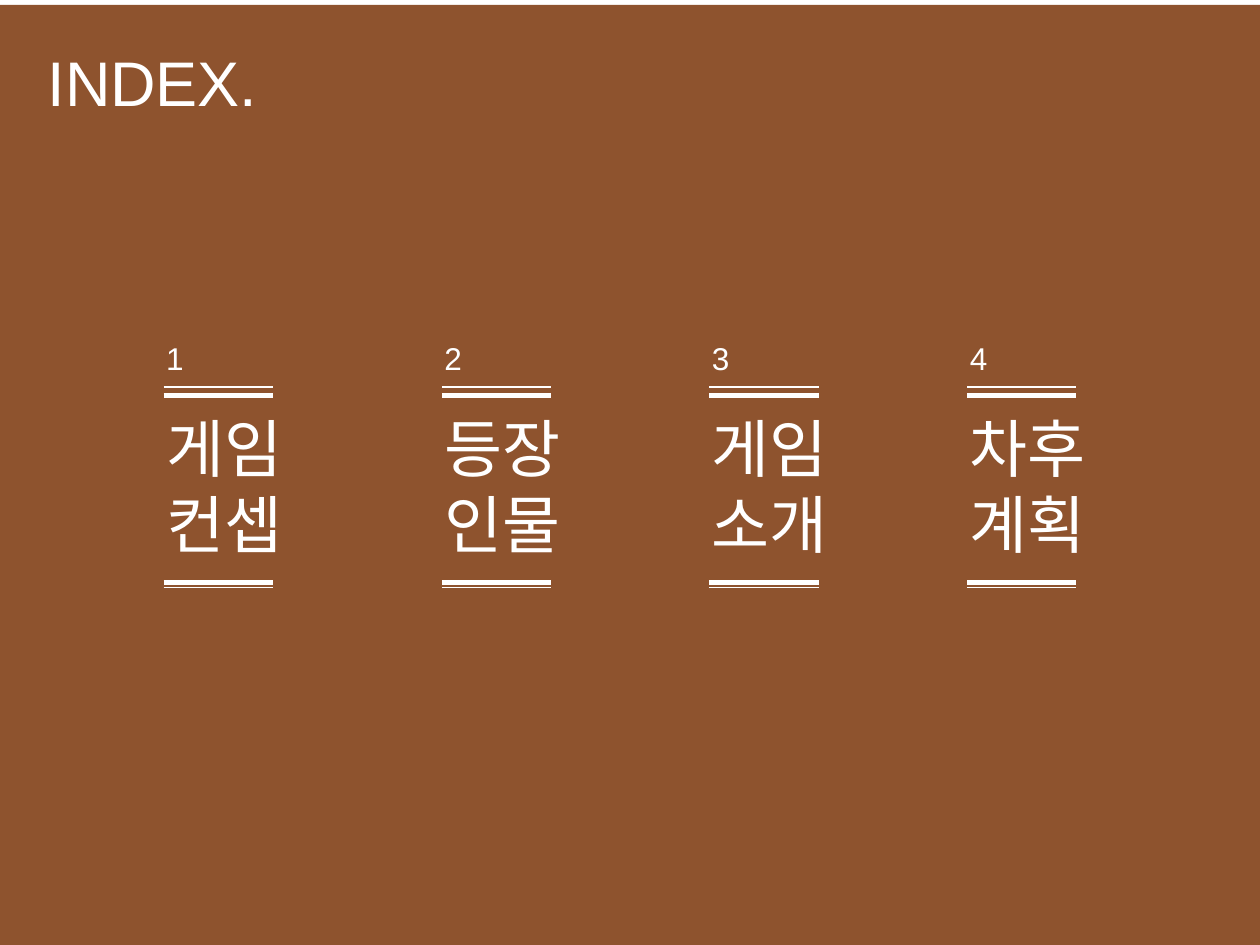
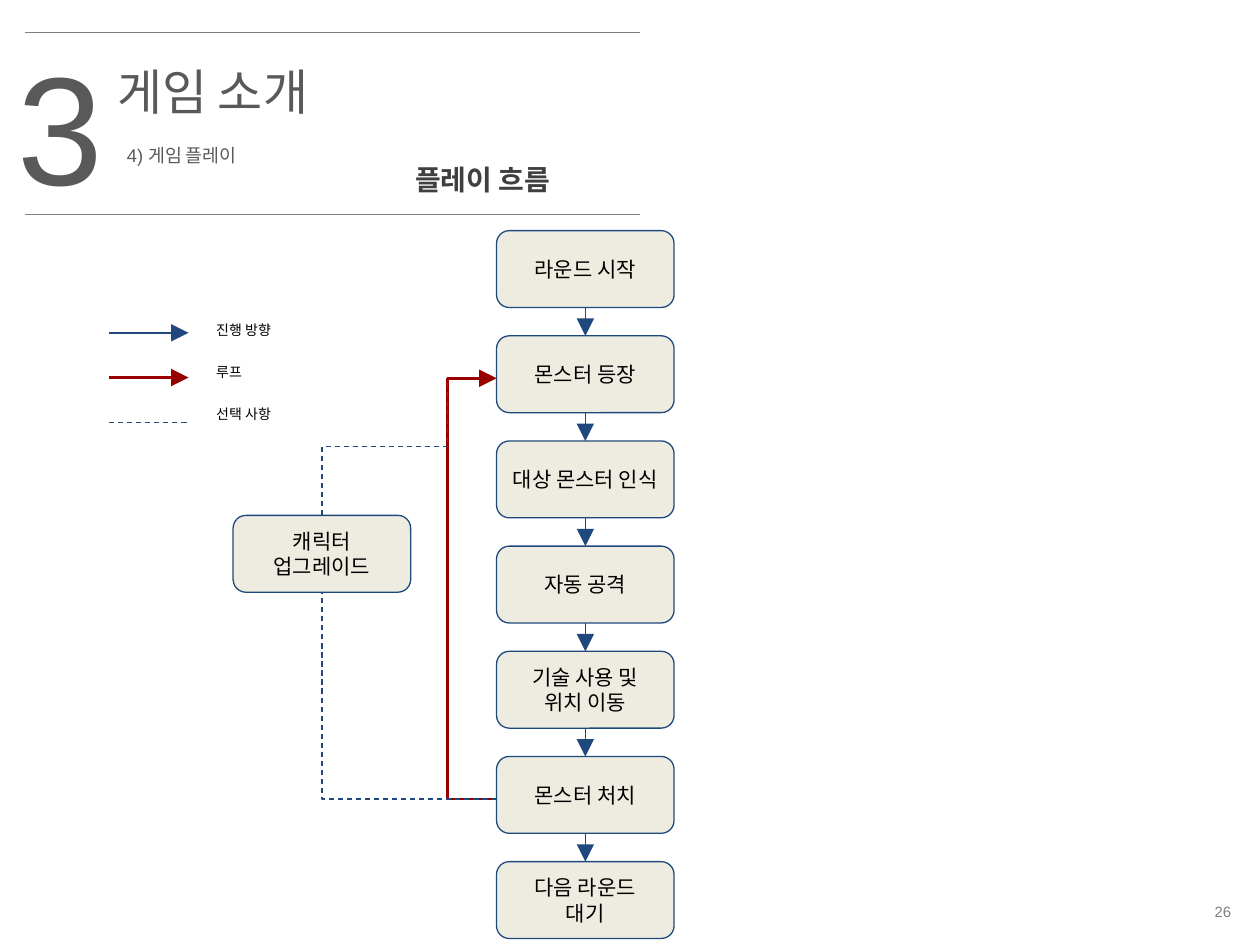
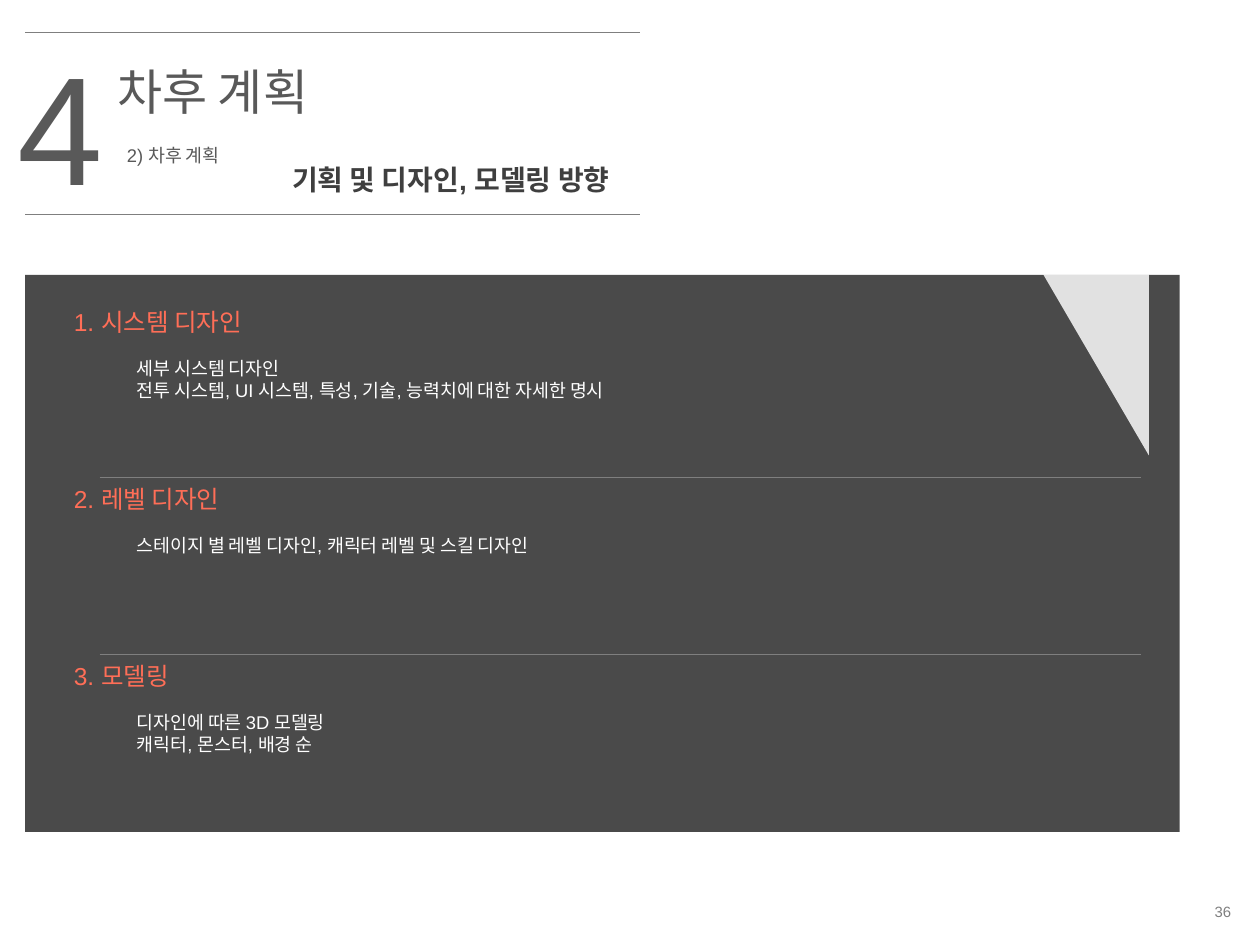
from lxml import etree
from pptx import Presentation
from pptx.dml.color import RGBColor
from pptx.enum import dml, shapes, text
from pptx.oxml.ns import qn
from pptx.util import Cm, Pt

FONT = "Arial"
BROWN = RGBColor(0x8E, 0x53, 0x2E)
WHITE = RGBColor(0xFF, 0xFF, 0xFF)
BLACK = RGBColor(0, 0, 0)
PANEL = RGBColor(0x0C, 0x0C, 0x0C)
DARK = RGBColor(0x3F, 0x3F, 0x3F)
GRAY = RGBColor(0x59, 0x59, 0x59)
RULE = RGBColor(0x7F, 0x7F, 0x7F)
BEIGE = RGBColor(0xEE, 0xEC, 0xE1)
NAVY = RGBColor(0x1F, 0x49, 0x7D)
RED = RGBColor(0x98, 0, 0)
CORAL = RGBColor(0xFF, 0x6E, 0x57)

LEFT, CENTER, RIGHT = text.PP_ALIGN.LEFT, text.PP_ALIGN.CENTER, text.PP_ALIGN.RIGHT
HANGING = 0.97

INDEX = [(3.1, "게임\n컨셉"), (8.71, "등장\n인물"), (14.1, "게임\n소개"), (19.3, "차후 계획")]
INDEX_RULES = [(7.8, 0.75), (7.97, 3), (11.74, 3), (11.84, 0.75)]

STEPS = ["라운드 시작", "몬스터 등장", "대상 몬스터 인식", "자동 공격",
         "기술 사용 및\n위치 이동", "몬스터 처치", "다음 라운드\v대기"]
UPGRADE = "캐릭터\n업그레이드"
LEGEND = [("진행 방향", NAVY, 0.75, False), ("루프", RED, 1.5, False), ("선택 사항", NAVY, 0.75, True)]

PLANS = [
    ("1. 시스템 디자인", ["세부 시스템 디자인",
                    "전투 시스템, UI 시스템, 특성, 기술, 능력치에 대한 자세한 명시"]),
    ("2. 레벨 디자인", ["스테이지 별 레벨 디자인, 캐릭터 레벨 및 스킬 디자인"]),
    ("3. 모델링", ["디자인에 따른 3D 모델링", "캐릭터, 몬스터, 배경 순"]),
]

STEP_LEFT, STEP_TOP, STEP_PITCH = 10.01, 4.65, 2.12
STEP_WIDTH, STEP_HEIGHT = 3.58, 1.55


def format_paragraph(paragraph, size, color, align=LEFT, bold=False, hanging=0.0):
    """Format all runs; hanging is the left margin in cm, with a hanging first line."""
    paragraph.alignment = align
    if hanging:
        properties = paragraph._p.get_or_add_pPr()
        properties.set("marL", str(Cm(hanging)))
        properties.set("indent", str(-Cm(HANGING)))
    for run in paragraph.runs:
        run.font.name, run.font.size, run.font.bold = FONT, Pt(size), bold
        run.font.color.rgb = color


def write_text(frame, content, size, color, anchor=text.MSO_ANCHOR.TOP, inset=0.13, **style):
    frame.word_wrap = True
    frame.vertical_anchor = anchor
    frame.margin_left = frame.margin_right = Cm(0.25)
    frame.margin_top = frame.margin_bottom = Cm(inset)
    frame.text = content
    for paragraph in frame.paragraphs:
        format_paragraph(paragraph, size, color, **style)


def add_text(slide, box, content, size, color, **style):
    frame = slide.shapes.add_textbox(*map(Cm, box)).text_frame
    write_text(frame, content, size, color, **style)
    return frame


def add_filled(slide, preset, box, color, opacity=100):
    shape = slide.shapes.add_shape(preset, *map(Cm, box))
    shape.shadow.inherit = False
    shape.fill.solid()
    shape.fill.fore_color.rgb = color
    shape.line.fill.background()
    if opacity < 100:
        fill_color = shape.element.spPr.find(qn("a:solidFill"))[0]
        etree.SubElement(fill_color, qn("a:alpha"), val=str(opacity * 1000))
    return shape


def style_connector(connector, color, width, dashed=False, arrow=False):
    connector.line.color.rgb = color
    connector.line.width = Pt(width)
    if dashed:
        connector.line.dash_style = dml.MSO_LINE.DASH
    properties = connector.element.spPr
    if arrow:
        etree.SubElement(properties.find(qn("a:ln")), qn("a:tailEnd"),
                         type="triangle", w="lg", len="lg")
    etree.SubElement(properties, qn("a:effectLst"))


def add_line(slide, start, end, color, width=0.75, **style):
    connector = slide.shapes.add_connector(
        shapes.MSO_CONNECTOR.STRAIGHT, *map(Cm, (*start, *end)))
    style_connector(connector, color, width, **style)


def add_elbow(slide, box, preset, rotation, color, width=0.75, flip=False, **style):
    """Add a bent connector that covers the given box after its rotation."""
    left, top, across, down = box
    if rotation == 270:
        left, top = left + (across - down) / 2, top + (down - across) / 2
        across, down = down, across
    connector = slide.shapes.add_connector(
        shapes.MSO_CONNECTOR.ELBOW, *map(Cm, (left, top, left + across, top + down)))
    properties = connector.element.spPr
    properties.find(qn("a:prstGeom")).set("prst", preset)
    frame = properties.find(qn("a:xfrm"))
    frame.set("rot", str(rotation * 60000))
    if flip:
        frame.set("flipH", "1")
    style_connector(connector, color, width, **style)


def add_flow_box(slide, left, top, content):
    shape = add_filled(slide, shapes.MSO_SHAPE.ROUNDED_RECTANGLE,
                       (left, top, STEP_WIDTH, STEP_HEIGHT), BEIGE)
    shape.line.color.rgb = NAVY
    shape.line.width = Pt(0.75)
    write_text(shape.text_frame, content, 12, BLACK, anchor=text.MSO_ANCHOR.MIDDLE,
               inset=0.25, align=CENTER)


def new_slide(presentation):
    return presentation.slides.add_slide(presentation.slide_layouts[6])


def chapter_slide(presentation, number, title, section, topic, topic_left, page):
    slide = new_slide(presentation)
    add_text(slide, (19.71, 18.03, 5.36, 0.69), page, 8.5, RULE,
             anchor=text.MSO_ANCHOR.MIDDLE, align=RIGHT)
    add_text(slide, (2.11, 1.12, 11.4, 1.45), title, 28, GRAY, hanging=HANGING)
    frame = add_text(slide, (2.31, 2.51, 11.61, 1.47), section, 10.5, GRAY, hanging=HANGING)
    frame.paragraphs[0].line_spacing = 1.62
    add_text(slide, (0.1, 0.51, 3, 4.01), number, 88, GRAY, hanging=HANGING)
    for y in (0.66, 4.32):
        add_line(slide, (0.51, y), (12.9, y), RULE)
    add_text(slide, (topic_left, 3.15, 9.6, 1.27), topic, 16, DARK,
             align=CENTER, bold=True, hanging=HANGING)
    return slide


def index_slide(presentation):
    slide = new_slide(presentation)
    add_filled(slide, shapes.MSO_SHAPE.RECTANGLE, (0, 0.1, 25.4, 19.05), BROWN)
    add_text(slide, (0.71, 0.74, 8.61, 1.8), "INDEX.", 36, WHITE)
    for number, (left, title) in enumerate(INDEX, 1):
        add_text(slide, (left, 6.71, 3.2, 1.02), str(number), 18, WHITE)
        add_text(slide, (left, 8.13, 3.2, 3.33), title, 36, WHITE)
        for y, width in INDEX_RULES:
            add_line(slide, (left + 0.2, y), (left + 2.4, y), WHITE, width)


def flow_slide(presentation):
    slide = chapter_slide(presentation, "3", "게임 소개", "4) 게임 플레이", "플레이 흐름", 4.93, "26")
    tops = [STEP_TOP + i * STEP_PITCH for i in range(len(STEPS))]
    for top, step in zip(tops, STEPS):
        add_flow_box(slide, STEP_LEFT, top, step)

    loop_left, upgrade_left, upgrade_top = 9.02, 4.7, 10.39
    upgrade_center = upgrade_left + STEP_WIDTH / 2
    upgrade_bottom = upgrade_top + STEP_HEIGHT
    loop_top, loop_bottom = (tops[i] + STEP_HEIGHT / 2 + 0.08 for i in (1, 5))
    add_elbow(slide, (loop_left, loop_top, STEP_LEFT - loop_left, loop_bottom - loop_top),
              "bentConnector2", 270, RED, 1.5, flip=True)
    add_elbow(slide, (upgrade_center, upgrade_bottom,
                      STEP_LEFT - upgrade_center, loop_bottom - upgrade_bottom),
              "bentConnector2", 180, NAVY, dashed=True)
    add_elbow(slide, (upgrade_center, loop_top, loop_left - upgrade_center, upgrade_top - loop_top),
              "bentConnector3", 270, NAVY, dashed=True)
    add_flow_box(slide, upgrade_left, upgrade_top, UPGRADE)
    add_line(slide, (loop_left, loop_top), (STEP_LEFT, loop_top), RED, 1.5, arrow=True)

    center = STEP_LEFT + STEP_WIDTH / 2
    for top, next_top in zip(tops, tops[1:]):
        add_line(slide, (center, top + STEP_HEIGHT), (center, next_top), NAVY, arrow=True)

    for row, (label, color, width, dashed) in enumerate(LEGEND):
        y = 6.71 + 0.9 * row
        add_line(slide, (2.2, y), (3.8, y), color, width, dashed=dashed, arrow=not dashed)
        add_text(slide, (4.11, 6.32 + 0.84 * row, 2.62, 0.58), label, 8, BLACK, inset=0.25)


def plan_slide(presentation):
    slide = chapter_slide(presentation, "4", "차후 계획", "2) 차후 계획",
                          "기획 및 디자인, 모델링 방향", 4.29, "36")
    add_filled(slide, shapes.MSO_SHAPE.RECTANGLE, (0.51, 5.54, 23.27, 11.23), PANEL, 74)
    for row, (heading, details) in enumerate(PLANS):
        top = 6.05 + 3.57 * row
        frame = add_text(slide, (1.24, top, 22.53, 3.33), heading, 14, CORAL, hanging=HANGING)
        for i, detail in enumerate(details):
            paragraph = frame.add_paragraph()
            paragraph.text = detail
            format_paragraph(paragraph, 10.5, WHITE, hanging=2.24)
            if i == 0:
                paragraph.space_before = Pt(12)
        if row:
            add_line(slide, (2.01, top), (23.01, top), RULE)
    corner = add_filled(slide, shapes.MSO_SHAPE.ISOSCELES_TRIANGLE,
                        (20.27, 6.29, 3.65, 2.13), WHITE, 84)
    corner.adjustments[0] = 1
    corner.rotation = 270


def main():
    presentation = Presentation()
    presentation.slide_width, presentation.slide_height = Cm(25.4), Cm(19.05)
    index_slide(presentation)
    flow_slide(presentation)
    plan_slide(presentation)
    presentation.save("out.pptx")


if __name__ == "__main__":
    main()
